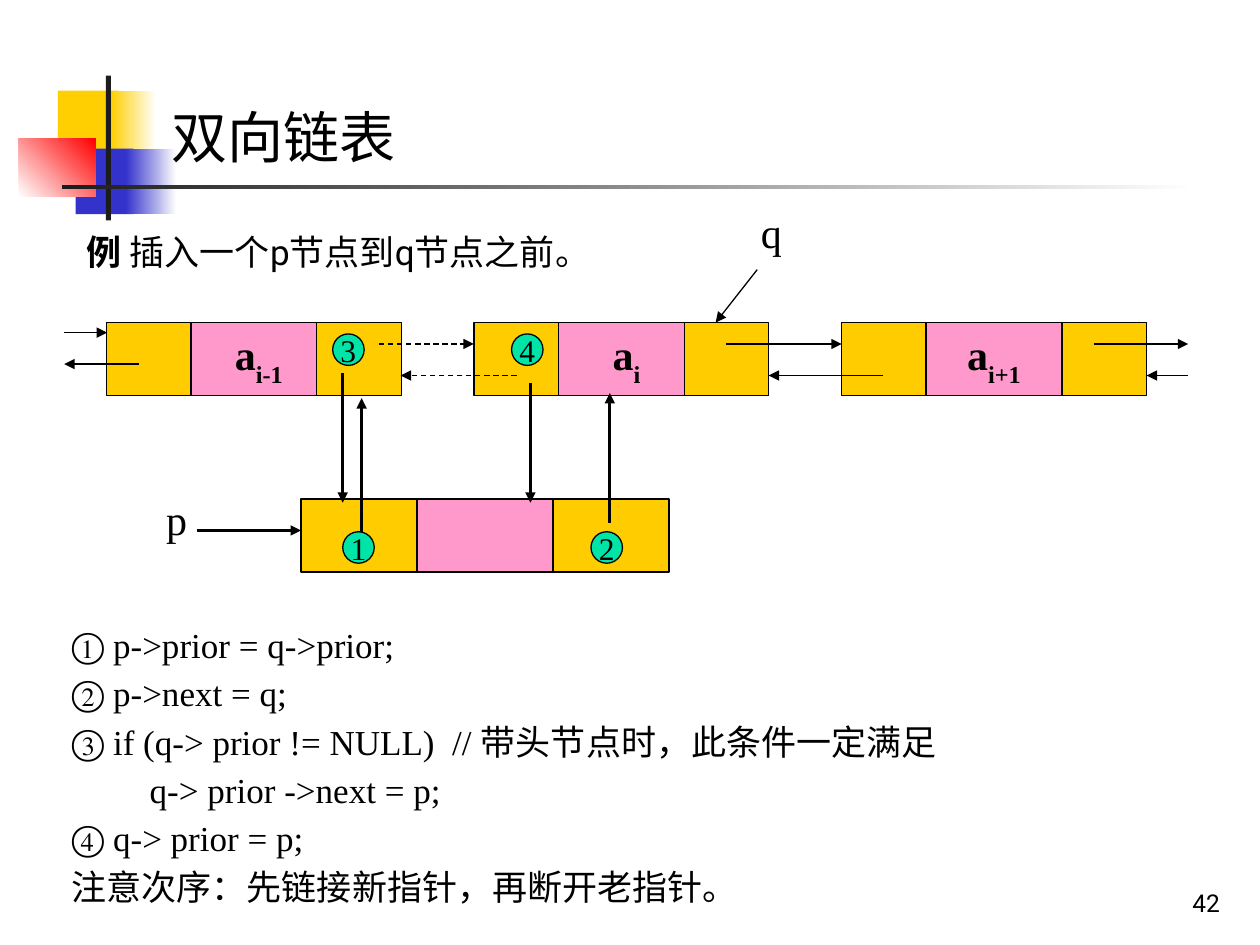
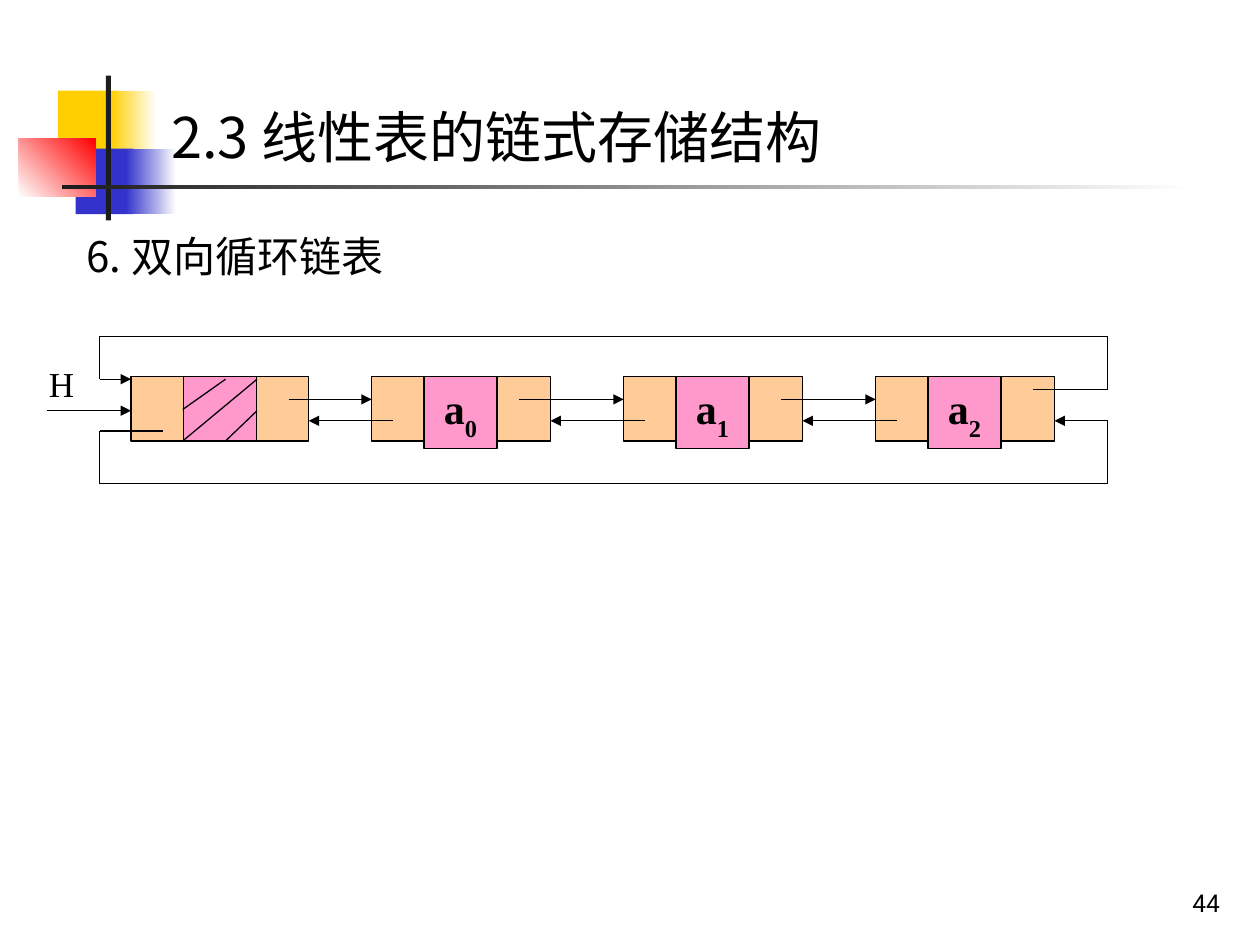
from dataclasses import dataclass
from itertools import pairwise

from lxml.etree import SubElement
from pptx import Presentation
from pptx.dml.color import RGBColor
from pptx.enum.dml import MSO_LINE
from pptx.enum.shapes import MSO_CONNECTOR, MSO_SHAPE
from pptx.enum.text import MSO_ANCHOR, MSO_AUTO_SIZE, PP_ALIGN
from pptx.oxml.ns import qn
from pptx.util import Inches, Pt

SLIDE_WIDTH, SLIDE_HEIGHT = Inches(10), Inches(7.5)
COLUMN, ROW = SLIDE_WIDTH / 100, SLIDE_HEIGHT / 75

BLACK = RGBColor(0x00, 0x00, 0x00)
WHITE = RGBColor(0xFF, 0xFF, 0xFF)
CHARCOAL = RGBColor(0x1C, 0x1C, 0x1C)
YELLOW = RGBColor(0xFF, 0xCF, 0x01)
BLUE = RGBColor(0x33, 0x33, 0xCC)
RED = RGBColor(0xFF, 0x00, 0x00)
PINK = RGBColor(0xFF, 0x99, 0xCC)
GOLD = RGBColor(0xFF, 0xCC, 0x00)
PEACH = RGBColor(0xFF, 0xCC, 0x99)
GREEN = RGBColor(0x00, 0xE4, 0xA8)

SERIF, SANS = "Times New Roman", "Roboto"
CJK, TITLE_CJK = "Noto Sans CJK SC", "Noto Sans CJK JP"

ORNAMENT = [
    ((4.6, 7.2, 4.8, 5.2), [YELLOW], 0),
    ((8.8, 7.2, 3.6, 5.2), [YELLOW, WHITE], 0),
    ((6, 11.8, 4.6, 5.2), [BLUE], 0),
    ((10, 11.8, 4, 5.2), [BLUE, WHITE], 0),
    ((1.5, 11, 6.1, 4.6), [WHITE, RED], 45),
    ((8.4, 6, 0.4, 11.5), [CHARCOAL], 0),
    ((4.9, 14.7, 90, 0.3), [CHARCOAL, WHITE], 0),
]

CODE_LINES = [
    ("① p->prior = q->prior;", 0),
    ("② p->next = q;", 0),
    ("③ if (q-> prior != NULL)  // 带头节点时，此条件一定满足", 0),
    ("q-> prior ->next = p;", 6.2),
    ("④ q-> prior = p;", 0),
    ("注意次序：先链接新指针，再断开老指针。", 0),
]


@dataclass
class NodeStyle:
    """Describe the cells of a linked-list node in grid units."""
    link_fill: RGBColor
    link_width: float
    data_width: float
    height: float
    data_offset: float
    weight: float = 0.75
    data_on_top: bool = False
    space_before: float = 0


LIST_NODE = NodeStyle(GOLD, 6.7, 10.8, 5.8, 6.7)
NEW_NODE = NodeStyle(GOLD, 9.2, 10.8, 5.8, 9.2, weight=1.5)
RING_NODE = NodeStyle(PEACH, 5.8, 5.8, 5.1, 4.15, data_on_top=True, space_before=15)


def cells(left, top, width, height):
    """Turn grid units into slide lengths."""
    return (round(left * COLUMN), round(top * ROW),
            round(width * COLUMN), round(height * ROW))


def write(paragraph, text, face=SERIF, size=24, bold=False, subscript=False, cjk=CJK):
    """Add one formatted run to a paragraph."""
    run = paragraph.add_run()
    run.text = text
    for attribute, value in {"name": face, "size": Pt(size), "bold": bold}.items():
        setattr(run.font, attribute, value)
    run.font.color.rgb = BLACK
    properties = run.font._element
    SubElement(properties, qn("a:ea")).set("typeface", cjk)
    if subscript:
        properties.set("baseline", "-30000")


def text_box(slide, area, space_before=0, align=PP_ALIGN.LEFT, anchor=MSO_ANCHOR.TOP):
    """Add a wrapping text box and return its first paragraph and frame."""
    frame = slide.shapes.add_textbox(*cells(*area)).text_frame
    frame.word_wrap = True
    frame.vertical_anchor = anchor
    paragraph = frame.paragraphs[0]
    for attribute, value in {"alignment": align, "space_before": Pt(space_before)}.items():
        setattr(paragraph, attribute, value)
    return paragraph, frame


def block(slide, area, colors, angle=0, weight=0, kind=MSO_SHAPE.RECTANGLE):
    """Draw a shape with a plain or two-colour gradient fill."""
    shape = slide.shapes.add_shape(kind, *cells(*area))
    shape.shadow.inherit = False
    if len(colors) == 1:
        shape.fill.solid()
        shape.fill.fore_color.rgb = colors[0]
    else:
        shape.fill.gradient()
        shape.fill.gradient_angle = angle
        for stop, color in zip(shape.fill.gradient_stops, colors):
            stop.color.rgb = color
    if weight:
        shape.line.color.rgb = BLACK
        shape.line.width = Pt(weight)
    else:
        shape.line.fill.background()
    return shape


def route(slide, *points, weight=0.75, dashed=False, arrow=True):
    """Join grid points with straight lines, the last ending in an arrowhead."""
    for start, end in pairwise(points):
        (x1, y1, x2, y2) = cells(*start, *end)
        segment = slide.shapes.add_connector(MSO_CONNECTOR.STRAIGHT, x1, y1, x2, y2)
        segment.line.color.rgb = BLACK
        segment.line.width = Pt(weight)
        if dashed:
            segment.line.dash_style = MSO_LINE.DASH
        if arrow and end == points[-1]:
            SubElement(segment.line._get_or_add_ln(), qn("a:tailEnd")).set("type", "triangle")
        SubElement(segment._element.spPr, qn("a:effectLst"))


def node(slide, left, top, style, index="", next_offset=None, data_height=None):
    """Draw a node: prior link, data cell with a subscripted label, next link."""
    data_left = left + style.data_offset
    next_left = left + (next_offset or style.data_offset + style.data_width)

    def draw_links():
        for link_left in (left, next_left):
            block(slide, (link_left, top, style.link_width, style.height),
                  [style.link_fill], weight=style.weight)

    if style.data_on_top:
        draw_links()
    data = block(slide, (data_left, top, style.data_width, data_height or style.height),
                 [PINK], weight=style.weight)
    if index:
        data.text_frame.vertical_anchor = MSO_ANCHOR.TOP
        label = data.text_frame.paragraphs[0]
        label.alignment = PP_ALIGN.CENTER
        label.space_before = Pt(style.space_before)
        write(label, "a", bold=True)
        write(label, index, bold=True, subscript=True)
    if not style.data_on_top:
        draw_links()


def step_badge(slide, left, top, number):
    """Draw a numbered circle that marks one step."""
    badge = block(slide, (left, top, 2.5, 2.5), [GREEN], weight=0.75, kind=MSO_SHAPE.OVAL)
    badge.text_frame.word_wrap = False
    badge.text_frame.vertical_anchor = MSO_ANCHOR.MIDDLE
    badge.text_frame.paragraphs[0].alignment = PP_ALIGN.CENTER
    write(badge.text_frame.paragraphs[0], str(number), size=18)


def pointer_name(slide, area, name, size=24):
    """Write the name of a pointer."""
    paragraph, _ = text_box(slide, area, space_before=size * 0.625)
    write(paragraph, name, size=size)


def start_slide(deck, heading, page):
    """Add a slide with the shared ornament, title and page number."""
    slide = deck.slides.add_slide(deck.slide_layouts[5])
    for area, colors, angle in ORNAMENT:
        block(slide, area, colors, angle)

    title = slide.shapes.title
    slide.shapes._spTree.append(title._element)
    title.left, title.top, title.width, title.height = cells(12.6, 7.6, 87.4, 6.4)
    frame = title.text_frame
    frame.auto_size = MSO_AUTO_SIZE.NONE
    frame.vertical_anchor = MSO_ANCHOR.TOP
    frame.paragraphs[0].alignment = PP_ALIGN.LEFT
    frame.paragraphs[0].space_before = Pt(20)
    write(frame.paragraphs[0], heading, TITLE_CJK, 32, cjk=TITLE_CJK)

    number, _ = text_box(slide, (77, 68.3, 20.8, 5), align=PP_ALIGN.RIGHT,
                         anchor=MSO_ANCHOR.BOTTOM)
    write(number, str(page), SANS, 14)
    return slide


def code_steps(slide):
    """Write the insertion steps under the diagram."""
    paragraph, frame = text_box(slide, (4.7, 48.5, 85, 24))
    for position, (line, indent) in enumerate(CODE_LINES):
        if position:
            paragraph = frame.add_paragraph()
        paragraph.line_spacing = 1.15
        if indent:
            paragraph._p.get_or_add_pPr().set("marL", str(round(indent * COLUMN)))
        write(paragraph, line, size=20)


def insertion_slide(deck):
    """Show how node p is inserted before node q."""
    slide = start_slide(deck, "双向链表", 42)
    example, _ = text_box(slide, (5.9, 17.8, 74, 4.4), space_before=12.5)
    write(example, "例 ", SANS, 20, bold=True)
    write(example, "插入一个p节点到q节点之前。", SANS, 20)

    for position, (index, next_offset) in enumerate([("i-1", 16.7), ("i", 16.7), ("i+1", 17.5)]):
        node(slide, 8.45 + 29.17 * position, 25.6, LIST_NODE, index, next_offset)
    node(slide, 23.9, 39.6, NEW_NODE)

    route(slide, (5.1, 26.4), (8.5, 26.4))
    route(slide, (11, 28.9), (5.1, 28.9))
    for start, end in [(57.6, 66.8), (86.8, 94.3)]:
        route(slide, (start, 27.3), (end, 27.3))
    for start, end in [(70.1, 61), (94.3, 91)]:
        route(slide, (start, 29.8), (end, 29.8))
    route(slide, (41, 29.8), (31.8, 29.8), dashed=True)
    route(slide, (30.1, 27.3), (37.6, 27.3), dashed=True)

    pointer_name(slide, (59.4, 15.9, 6.3, 5), "q")
    route(slide, (60.1, 21.4), (56.8, 25.6))
    pointer_name(slide, (12.2, 38.7, 5, 5), "p")
    route(slide, (15.6, 42.1), (23.9, 42.1), weight=1.5)

    for x, start, end in [(28.7, 42.2, 31.6), (48.4, 41.5, 31.2),
                          (27.2, 29.6, 39.9), (42.1, 30.4, 39.9)]:
        route(slide, (x, start), (x, end), weight=1.5)
    badges = [(27.2, 42.2), (46.9, 42.2), (26.4, 26.5), (40.6, 26.5)]
    for number, (left, top) in enumerate(badges, 1):
        step_badge(slide, left, top, number)
    code_steps(slide)


def ring_slide(deck):
    """Show a circular doubly linked list with its head node."""
    slide = start_slide(deck, "2.3 线性表的链式存储结构", 44)
    topic, _ = text_box(slide, (5.9, 17.8, 74, 5), space_before=15)
    write(topic, "6. 双向循环链表", CJK, 24)

    node(slide, 10.4, 29.9, RING_NODE, next_offset=8.3)
    for index in range(3):
        node(slide, 29.5 + 20 * index, 29.9, RING_NODE, str(index), 8.4, 5.7)
    for start, end in [((17.9, 30.1), (14.5, 32.5)), ((20.4, 30.1), (14.5, 35)),
                       ((20.4, 32.6), (17.9, 35))]:
        route(slide, start, end, arrow=False)

    for start, end in [(22.9, 29.5), (41.2, 49.5), (62, 69.5)]:
        route(slide, (start, 31.7), (end, 31.7))
    for start, end in [(31.2, 24.5), (51.2, 43.7), (71.2, 63.7)]:
        route(slide, (start, 33.4), (end, 33.4))
    route(slide, (82, 30.9), (87.9, 30.9), (87.9, 26.7), (7.9, 26.7), (7.9, 30.1), (10.4, 30.1))
    route(slide, (12.9, 34.2), (7.9, 34.2), (7.9, 38.4), (87.9, 38.4), (87.9, 33.4), (83.7, 33.4))

    pointer_name(slide, (2.9, 28.3, 4.2, 4.4), "H", size=20)
    route(slide, (3.7, 32.6), (10.4, 32.6))


def main():
    """Build and save the deck."""
    deck = Presentation()
    deck.slide_width, deck.slide_height = SLIDE_WIDTH, SLIDE_HEIGHT
    insertion_slide(deck)
    ring_slide(deck)
    deck.save("out.pptx")


if __name__ == "__main__":
    main()
